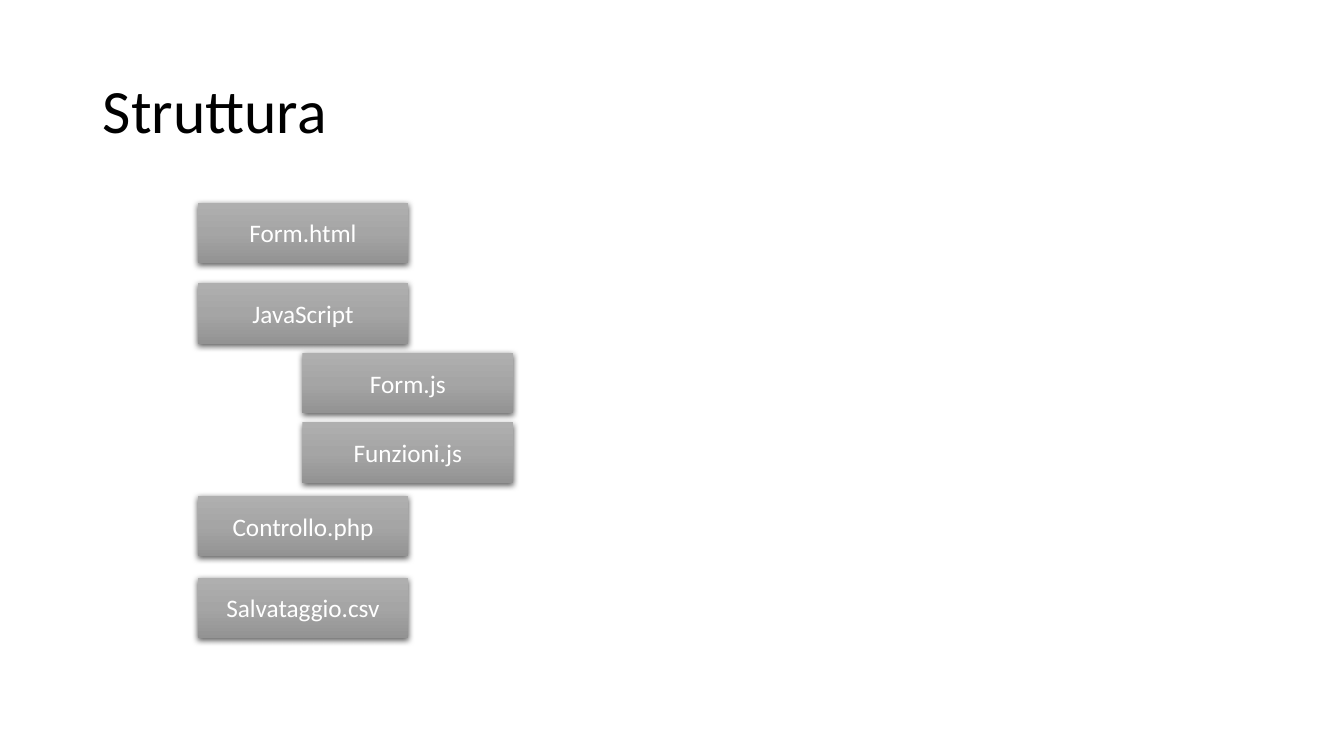
import copy
from dataclasses import dataclass

import pptx
import pptx.dml.color
import pptx.enum.shapes
import pptx.enum.text
import pptx.oxml
import pptx.oxml.ns
import pptx.presentation
import pptx.shapes.autoshape
import pptx.slide
import pptx.text.text
import pptx.util
from pptx.util import Inches

FONT = "Calibri"
BOX_WIDTH, BOX_HEIGHT = 2.09, 0.6
MAIN_LEFT, NESTED_LEFT = 1.96, 3.0
GRADIENT = ((0.0, "AFAFAF"), (0.5, "A5A5A5"), (1.0, "939393"))


@dataclass(frozen=True)
class FileBox:
    label: str
    left: float
    top: float


FILE_BOXES = (
    FileBox("Form.html", MAIN_LEFT, 2.01),
    FileBox("JavaScript", MAIN_LEFT, 2.81),
    FileBox("Controllo.php", MAIN_LEFT, 4.92),
    FileBox("Salvataggio.csv", MAIN_LEFT, 5.73),
    FileBox("Form.js", NESTED_LEFT, 3.5),
    FileBox("Funzioni.js", NESTED_LEFT, 4.19),
)


def rgb(value: str) -> pptx.dml.color.RGBColor:
    return pptx.dml.color.RGBColor.from_string(value)


def add_run(paragraph: pptx.text.text._Paragraph, text: str, size: float, color: str) -> None:
    run = paragraph.add_run()
    run.text = text
    run.font.name = FONT
    run.font.size = pptx.util.Pt(size)
    run.font.color.rgb = rgb(color)


def fill_gradient(shape: pptx.shapes.autoshape.Shape) -> None:
    shape.fill.gradient()
    shape.fill.gradient_angle = 270
    stop_list = shape._element.spPr.find(".//" + pptx.oxml.ns.qn("a:gsLst"))
    stop_list.insert(1, copy.deepcopy(stop_list[0]))
    for stop, (position, color) in zip(shape.fill.gradient_stops, GRADIENT):
        stop.position = position
        stop.color.rgb = rgb(color)


def add_drop_shadow(shape: pptx.shapes.autoshape.Shape) -> None:
    shape.shadow.inherit = False
    effects = shape._element.spPr.find(pptx.oxml.ns.qn("a:effectLst"))
    effects.append(pptx.oxml.parse_xml(
        f'<a:outerShdw {pptx.oxml.ns.nsdecls("a")} blurRad="{pptx.util.Pt(4.5)}"'
        f' dist="{pptx.util.Pt(1.5)}" dir="5400000" algn="ctr" rotWithShape="0">'
        '<a:srgbClr val="000000"><a:alpha val="63000"/></a:srgbClr></a:outerShdw>'
    ))


def add_title(slide: pptx.slide.Slide, text: str) -> None:
    title = slide.shapes.title
    title.left, title.top = Inches(0.92), Inches(0.4)
    title.width, title.height = Inches(11.5), Inches(1.45)
    title.text_frame.vertical_anchor = pptx.enum.text.MSO_ANCHOR.MIDDLE
    paragraph = title.text_frame.paragraphs[0]
    paragraph.alignment = pptx.enum.text.PP_ALIGN.LEFT
    paragraph.line_spacing = 0.9
    add_run(paragraph, text, 44, "000000")


def add_file_box(slide: pptx.slide.Slide, box: FileBox) -> None:
    shape = slide.shapes.add_shape(
        pptx.enum.shapes.MSO_SHAPE.RECTANGLE,
        Inches(box.left), Inches(box.top), Inches(BOX_WIDTH), Inches(BOX_HEIGHT),
    )
    fill_gradient(shape)
    shape.line.fill.background()
    add_drop_shadow(shape)
    shape.text_frame.vertical_anchor = pptx.enum.text.MSO_ANCHOR.MIDDLE
    paragraph = shape.text_frame.paragraphs[0]
    paragraph.alignment = pptx.enum.text.PP_ALIGN.CENTER
    add_run(paragraph, box.label, 18, "FFFFFF")


def main() -> None:
    presentation = pptx.Presentation()
    presentation.slide_width = Inches(13.33)
    presentation.slide_height = Inches(7.5)
    slide = presentation.slides.add_slide(presentation.slide_layouts.get_by_name("Title Only"))
    add_title(slide, "Struttura")
    for box in FILE_BOXES:
        add_file_box(slide, box)
    presentation.save("out.pptx")


if __name__ == "__main__":
    main()
